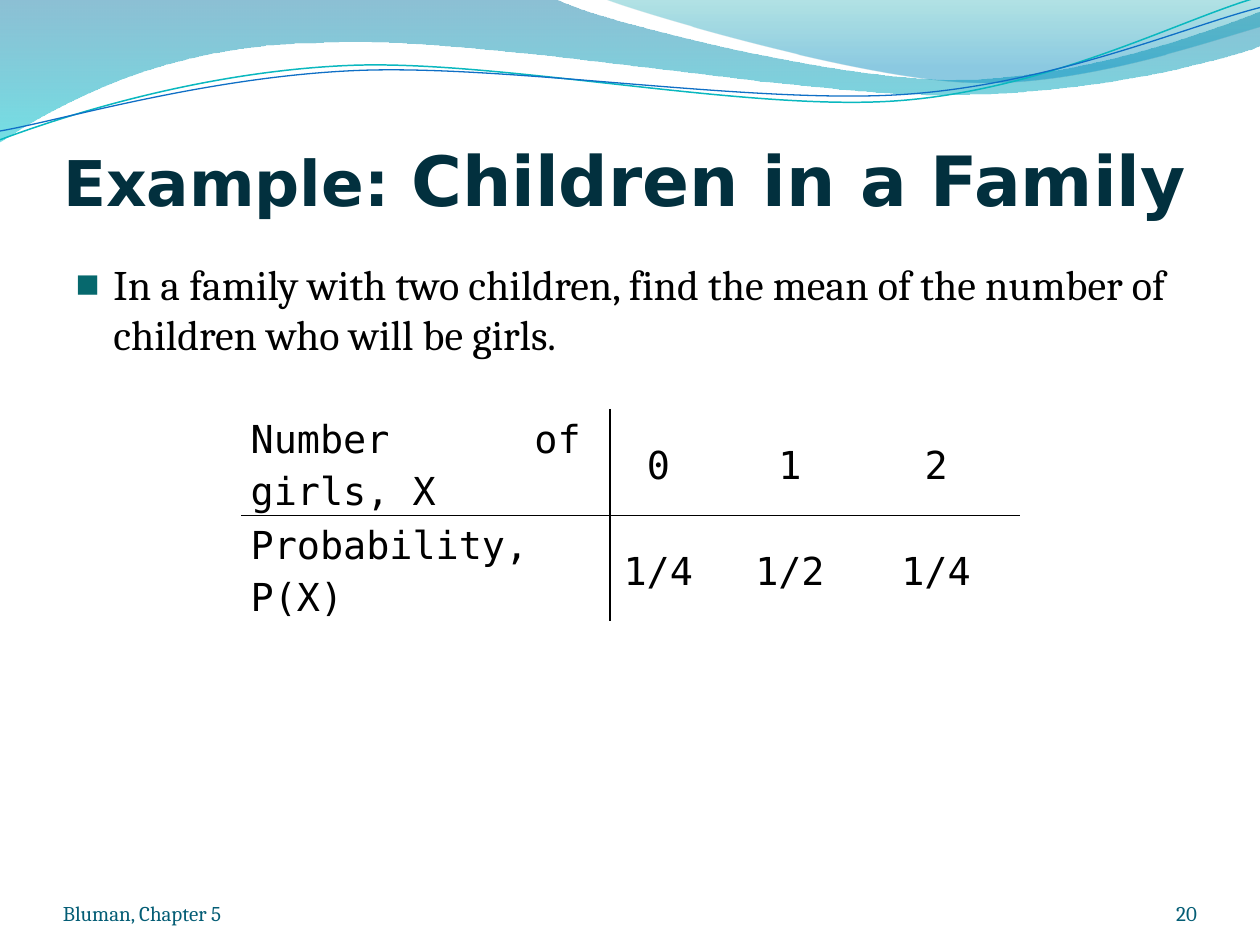
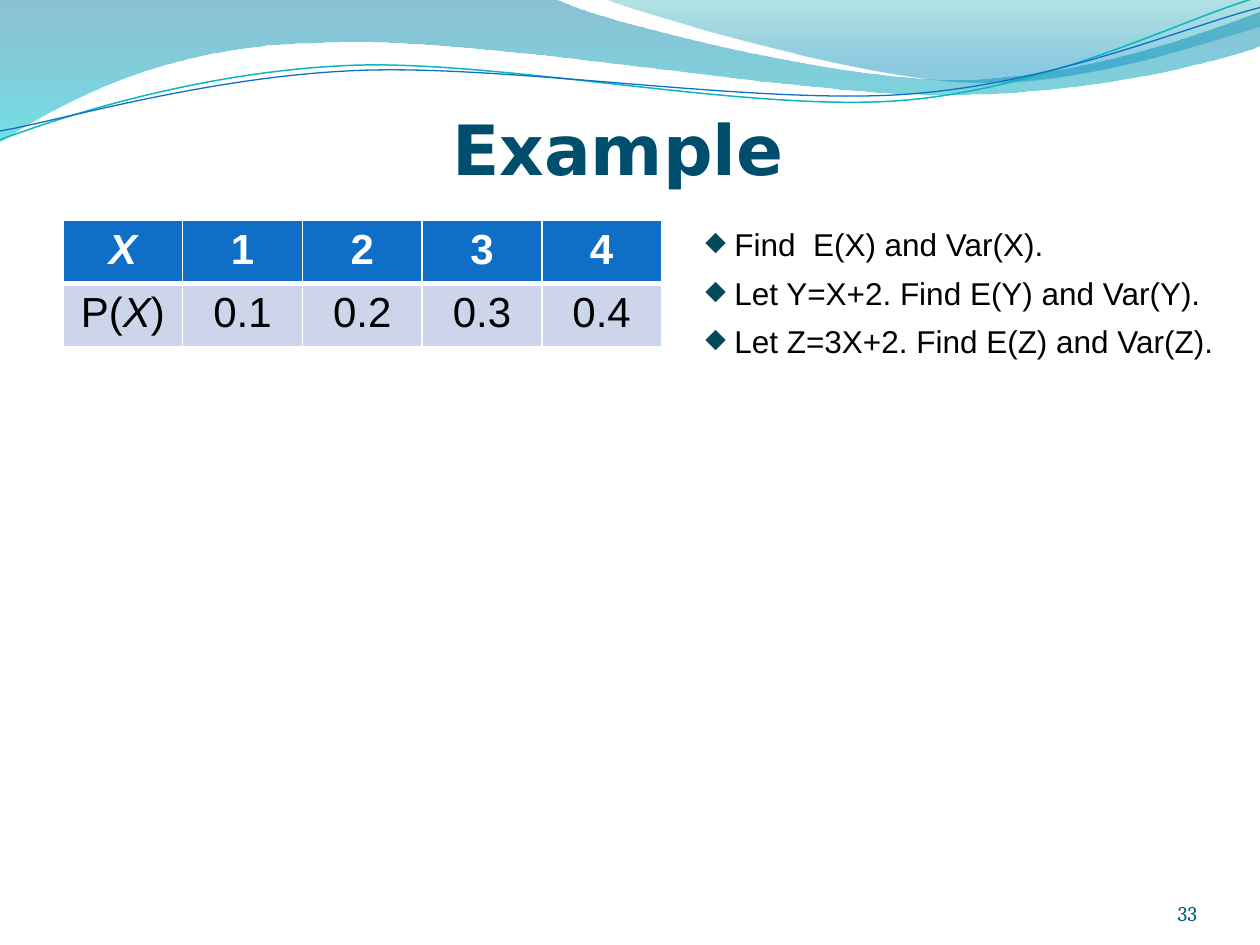
from pptx import Presentation
from pptx import util as u
from pptx.dml.color import RGBColor
from pptx.enum import text
from pptx.oxml import parse_xml
from pptx.oxml.ns import nsdecls

Inches, Pt = u.Inches, u.Pt
ALIGN, ANCHOR = text.PP_ALIGN, text.MSO_ANCHOR
TITLE_FONT, BODY_FONT, CELL_FONT, PLAIN_FONT = "DejaVu Sans", "Cambria", "DejaVu Sans Mono", "Arial"
BLACK, WHITE, FOOTER = "000000", "FFFFFF", "045D75"
HEADER_FILL, ROW_FILL = "0F6FC6", "CCD5EA"

# Two numbers draw a line to a point, six numbers a Bezier curve.
MAIN_BAND = [
    (0, -0.01), (4.4, -0.01), (4.76, 0.17, 6.64, 0.63, 7.58, 0.63),
    (8.53, 0.63, 9.58, 0.26, 10, 0.09), (10.01, 0.36), (9.83, 0.44, 8.7, 0.76, 7.46, 0.75),
    (6.22, 0.75, 3.82, 0.28, 2.57, 0.34), (1.29, 0.35, 0.46, 0.83, -0.01, 1.13), (0, -0.01)]
RIGHT_BAND = [
    (4.79, -0.01), (5.09, 0.11, 6.82, 0.62, 7.69, 0.65), (8.56, 0.69, 9.61, 0.32, 10, 0.21),
    (10, 0), (4.79, -0.01)]
TEAL_WAVE = [
    (0, 1.11), (0.48, 0.93, 1.58, 0.57, 2.77, 0.52), (3.95, 0.47, 5.93, 0.89, 7.13, 0.8),
    (8.33, 0.71, 9.38, 0.15, 9.98, -0.02)]
BLUE_WAVE = [
    (0, 1.04), (0.47, 0.96, 1.64, 0.61, 2.83, 0.56), (4.03, 0.51, 5.97, 0.83, 7.17, 0.75),
    (8.36, 0.67, 9.41, 0.21, 10, 0.06)]


def rgb(value):
    return RGBColor.from_string(value)


def add_run(paragraph, words, font, size, color=BLACK, bold=False, italic=False):
    run = paragraph.add_run()
    run.text = words
    run.font.name, run.font.size = font, Pt(size)
    run.font.bold, run.font.italic = bold, italic
    run.font.color.rgb = rgb(color)


def add_bullet(paragraph, mark, color, percent, indent):
    properties = paragraph._p.get_or_add_pPr()
    properties.set("marL", str(Inches(indent)))
    properties.set("indent", str(-Inches(indent)))
    for xml in (f'<a:buClr {nsdecls("a")}><a:srgbClr val="{color}"/></a:buClr>',
                f'<a:buSzPct {nsdecls("a")} val="{percent * 1000}"/>',
                f'<a:buChar {nsdecls("a")} char="{mark}"/>'):
        properties.append(parse_xml(xml))


def set_borders(cell, **sides):
    """Draw cell sides, each given as (colour, points) under L, R, T or B."""
    properties = cell._tc.get_or_add_tcPr()
    for side in "LRTB":
        if side in sides:
            color, width = sides[side]
            properties.append(parse_xml(
                f'<a:ln{side} {nsdecls("a")} w="{Pt(width)}"><a:solidFill>'
                f'<a:srgbClr val="{color}"/></a:solidFill></a:ln{side}>'))


class Deck:
    def __init__(self):
        self.presentation = Presentation()
        self.presentation.slide_width = Inches(10)
        self.presentation.slide_height = Inches(7.5)
        self.slide = None

    def new_slide(self, layout, number):
        self.slide = self.presentation.slides.add_slide(self.presentation.slide_layouts[layout])
        if len(self.presentation.slides) == 1:
            self.master_waves()
        self.footer(number, 8.67, 0.83, ALIGN.RIGHT)

    def master_waves(self):
        """Draw the header once and hand it to the master, behind everything."""
        waves = [
            self.band(MAIN_BAND, (0, "0074A1", 45), (100, "00C6CF", 55)),
            self.band(RIGHT_BAND, (0, "00A1A9", 30), (80, "008BBF", 45)),
            self.wave(TEAL_WAVE, "0AB8BF", 0.85),
            self.wave(BLUE_WAVE, "0F6FC6", 0.75)]
        tree = self.presentation.slide_master.shapes.element
        for index, shape in enumerate(waves):
            shape.element.nvSpPr.cNvPr.set("id", str(100 + index))
            tree.insert(2 + index, shape.element)

    def outline(self, parts, close):
        """Build a freeform through the end points, then bend its curved segments."""
        ends = [(Inches(part[-2]), Inches(part[-1])) for part in parts]
        builder = self.slide.shapes.build_freeform(*ends[0])
        builder.add_line_segments(ends[1:], close=close)
        shape = builder.convert_to_shape()
        shape.shadow.inherit = False
        segments = list(shape.element.spPr.iter("{*}lnTo"))
        for part, segment in zip(parts[1:], segments):
            if len(part) == 6:
                points = "".join(
                    f'<a:pt x="{Inches(x) - shape.left}" y="{Inches(y) - shape.top}"/>'
                    for x, y in zip(part[::2], part[1::2]))
                curve = parse_xml(f'<a:cubicBezTo {nsdecls("a")}>{points}</a:cubicBezTo>')
                segment.getparent().replace(segment, curve)
        return shape

    def band(self, parts, *stops):
        shape = self.outline(parts, close=True)
        shape.line.fill.background()
        stop_xml = "".join(
            f'<a:gs pos="{place * 1000}"><a:srgbClr val="{color}">'
            f'<a:alpha val="{opacity * 1000}"/></a:srgbClr></a:gs>'
            for place, color, opacity in stops)
        shape.element.spPr.find("{*}custGeom").addnext(parse_xml(
            f'<a:gradFill {nsdecls("a")}><a:gsLst>{stop_xml}</a:gsLst>'
            '<a:lin ang="5400000" scaled="0"/></a:gradFill>'))
        return shape

    def wave(self, parts, color, width):
        shape = self.outline(parts, close=False)
        shape.fill.background()
        shape.line.color.rgb = rgb(color)
        shape.line.width = Pt(width)
        return shape

    def place(self, shape, left, top, width, height):
        shape.left, shape.top = Inches(left), Inches(top)
        shape.width, shape.height = Inches(width), Inches(height)

    def title(self, parts, height, color, align=ALIGN.LEFT):
        shape = self.slide.shapes.title
        self.place(shape, 0.5, 0.77, 9, height)
        frame = shape.text_frame
        frame.auto_size, frame.vertical_anchor = text.MSO_AUTO_SIZE.NONE, ANCHOR.BOTTOM
        frame.margin_left = frame.margin_right = frame.margin_bottom = 0
        paragraph = frame.paragraphs[0]
        paragraph.alignment = align
        for words, size in parts:
            add_run(paragraph, words, TITLE_FONT, size, color, bold=True)

    def body(self, words):
        shape = self.slide.placeholders[1]
        self.place(shape, 0.5, 2, 9, 4.92)
        shape.text_frame.auto_size = text.MSO_AUTO_SIZE.NONE
        paragraph = shape.text_frame.paragraphs[0]
        add_run(paragraph, words, BODY_FONT, 24)
        add_bullet(paragraph, "■", "06686D", 95, 0.3)

    def text_box(self, left, top, width, height):
        box = self.slide.shapes.add_textbox(Inches(left), Inches(top), Inches(width), Inches(height))
        return box.text_frame

    def footer(self, words, left, width, align=ALIGN.LEFT):
        frame = self.text_box(left, 6.95, width, 0.4)
        frame.word_wrap, frame.vertical_anchor = True, ANCHOR.BOTTOM
        frame.margin_left = frame.margin_right = frame.margin_top = frame.margin_bottom = 0
        frame.paragraphs[0].alignment = align
        add_run(frame.paragraphs[0], words, BODY_FONT, 12, FOOTER)

    def tasks(self, lines):
        frame = self.text_box(5.5, 1.74, 4.25, 1.18)
        frame.word_wrap, frame.auto_size = False, text.MSO_AUTO_SIZE.SHAPE_TO_FIT_TEXT
        for index, words in enumerate(lines):
            paragraph = frame.add_paragraph() if index else frame.paragraphs[0]
            paragraph.space_before = Pt(6)
            add_run(paragraph, words, PLAIN_FONT, 18)
            add_bullet(paragraph, "◆", "03495C", 85, 0.23)

    def table(self, left, top, columns, row_height, row_count):
        table = self.slide.shapes.add_table(
            row_count, len(columns), Inches(left), Inches(top),
            Inches(sum(columns)), Inches(row_height * row_count)).table
        table.first_row = table.horz_banding = False
        for column, width in zip(table.columns, columns):
            column.width = Inches(width)
        return table

    def girls_table(self, rows):
        table = self.table(1.92, 3.25, [2.92, 0.93, 1.16, 1.16], 0.51, len(rows))
        line = (BLACK, 1)
        for r, row in enumerate(rows):
            for c, words in enumerate(row):
                cell = table.cell(r, c)
                sides = {"T" if r else "B": line}
                if c < 2:
                    sides["L" if c else "R"] = line
                set_borders(cell, **sides)
                cell.fill.background()
                cell.vertical_anchor = ANCHOR.MIDDLE
                cell.margin_left, cell.margin_right = Inches(0.07), Inches(0.23)
                cell.margin_top = cell.margin_bottom = 0
                paragraph = cell.text_frame.paragraphs[0]
                paragraph.alignment = ALIGN.CENTER if c else ALIGN.JUSTIFY
                paragraph.line_spacing = 1.15
                add_run(paragraph, words, CELL_FONT, 22)

    def probability_table(self, rows):
        """Fill a header row and a value row; every X is set in italics."""
        table = self.table(0.5, 1.75, [0.95] * len(rows[0]), 0.41, len(rows))
        thin, thick = (WHITE, 1), (WHITE, 3)
        for r, row in enumerate(rows):
            header = r == 0
            for c, parts in enumerate(row):
                cell = table.cell(r, c)
                set_borders(cell, L=thin, R=thin, T=thin if header else thick,
                            B=thick if header else thin)
                cell.fill.solid()
                cell.fill.fore_color.rgb = rgb(HEADER_FILL if header else ROW_FILL)
                paragraph = cell.text_frame.paragraphs[0]
                paragraph.alignment = ALIGN.CENTER
                for words in parts:
                    add_run(paragraph, words, PLAIN_FONT, 24, WHITE if header else BLACK,
                            bold=header, italic=words == "X")


def main():
    deck = Deck()

    deck.new_slide(1, "20")
    deck.title([("Example: ", 36), ("Children in a Family", 39.6)], 0.98, "02303E")
    deck.body("In a family with two children, find the mean of the number of "
              "children who will be girls.")
    deck.footer("Bluman, Chapter 5", 0.5, 3.67)
    deck.girls_table([["Number of girls, X", "0", "1", "2"],
                      ["Probability, P(X)", "1/4", "1/2", "1/4"]])

    deck.new_slide(5, "33")
    deck.title([("Example ", 39.6)], 0.73, "004E6D", ALIGN.CENTER)
    deck.probability_table([[["X"], ["1"], ["2"], ["3"], ["4"]],
                            [["P(", "X", ")"], ["0.1"], ["0.2"], ["0.3"], ["0.4"]]])
    deck.tasks(["Find  E(X) and Var(X).",
                "Let Y=X+2. Find E(Y) and Var(Y).",
                "Let Z=3X+2. Find E(Z) and Var(Z)."])

    deck.presentation.save("out.pptx")


if __name__ == "__main__":
    main()
